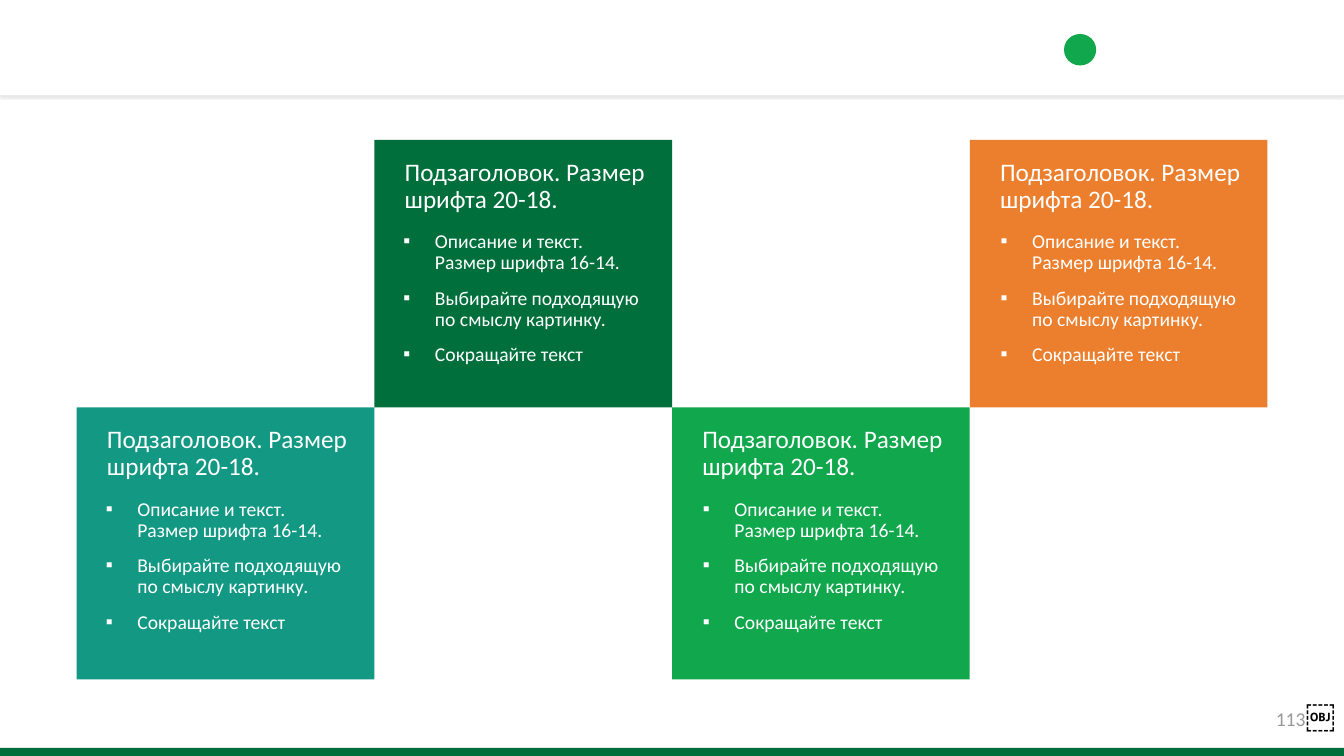
"""Build a slide of four staggered cards with subheadings and bullet lists."""
from dataclasses import dataclass
from typing import Any

from lxml import etree
from pptx import Presentation
from pptx.dml.color import RGBColor
from pptx.enum.shapes import MSO_SHAPE
from pptx.enum.text import MSO_ANCHOR, PP_ALIGN
from pptx.oxml.ns import qn
from pptx.util import Pt

RECTANGLE, OVAL = MSO_SHAPE.RECTANGLE, MSO_SHAPE.OVAL
TOP, MIDDLE = MSO_ANCHOR.TOP, MSO_ANCHOR.MIDDLE
LEFT, CENTER = PP_ALIGN.LEFT, PP_ALIGN.CENTER

COLORS = {
    "forest": "006F3C",
    "teal": "139884",
    "green": "11A74C",
    "orange": "EB7F2E",
    "white": "FFFFFF",
    "gray": "999999",
    "shadow": "8A8A8A",
    "black": "000000",
}
SLIDE_WIDTH, SLIDE_HEIGHT = 960, 540
CARD_LEFT, CARD_WIDTH = 54.8, 212.64
ROW_TOPS = (100, 291)
ROW_HEIGHTS = (191, 194.4)
LIST_DROPS = (62, 62.2)
LIST_WIDTH, LIST_HEIGHT = 184.3, 105
LIST_INDENT = 22.5
SUBHEADING = "Подзаголовок. Размер шрифта 20-18."
POINTS = (
    "Описание и текст. Размер шрифта 16-14.",
    "Выбирайте подходящую по смыслу картинку.",
    "Сокращайте текст",
)


@dataclass(frozen=True)
class Box:
    """Position and size in points."""

    left: float
    top: float
    width: float
    height: float

    def lengths(self) -> tuple[Pt, Pt, Pt, Pt]:
        """Return the box as lengths."""
        return Pt(self.left), Pt(self.top), Pt(self.width), Pt(self.height)


@dataclass(frozen=True)
class Card:
    """A coloured card in the staggered grid."""

    column: int
    row: int
    color: str
    list_inset: float


CARDS = (
    Card(1, 0, "forest", 13.7),
    Card(0, 1, "teal", 13.7),
    Card(3, 0, "orange", 15),
    Card(2, 1, "green", 15),
)


def apply_format(target: Any, values: dict[str, Any]) -> None:
    """Set each named attribute on the target."""
    for name, value in values.items():
        setattr(target, name, value)


def add_panel(slide: Any, box: Box, color: str, outline: MSO_SHAPE = RECTANGLE) -> Any:
    """Add a flat filled shape."""
    panel = slide.shapes.add_shape(outline, *box.lengths())
    panel.shadow.inherit = False
    panel.fill.solid()
    panel.fill.fore_color.rgb = RGBColor.from_string(COLORS[color])
    panel.line.fill.background()
    return panel


def add_text(paragraph: Any, text: str, size: float, color: str, font: str = "Calibri") -> None:
    """Append a formatted run to the paragraph."""
    run = paragraph.add_run()
    run.text = text
    apply_format(run.font, {"name": font, "size": Pt(size)})
    run.font.color.rgb = RGBColor.from_string(COLORS[color])


def add_header(slide: Any) -> None:
    """Add the white header band with its soft lower shadow."""
    header = add_panel(slide, Box(0, 0, SLIDE_WIDTH, 68), "white")
    effects = header._element.spPr.find(qn("a:effectLst"))
    shadow = etree.SubElement(
        effects, qn("a:outerShdw"), blurRad=str(Pt(1)), dist=str(Pt(2)),
        dir="5400000", algn="t", rotWithShape="0",
    )
    tint = etree.SubElement(shadow, qn("a:srgbClr"), val=COLORS["shadow"])
    etree.SubElement(tint, qn("a:alpha"), val="20000")


def add_page_number(slide: Any) -> None:
    """Add the page number in the lower right corner."""
    frame = slide.shapes.add_textbox(*Box(905, 498, 55, 25.2).lengths()).text_frame
    margins = dict.fromkeys(("margin_left", "margin_top", "margin_right", "margin_bottom"), 0)
    apply_format(frame, {"word_wrap": True, "vertical_anchor": MIDDLE, **margins})
    number = frame.paragraphs[0]
    number.alignment = CENTER
    add_text(number, "113", 14, "gray")
    add_text(number, "￼", 21, "black", "Cabin")


def add_points(slide: Any, box: Box) -> None:
    """Add the bulleted description of a card."""
    frame = slide.shapes.add_textbox(*box.lengths()).text_frame
    frame.word_wrap = True
    for index, text in enumerate(POINTS):
        point = frame.add_paragraph() if index else frame.paragraphs[0]
        properties = point._p.get_or_add_pPr()
        properties.set("marL", str(Pt(LIST_INDENT)))
        properties.set("indent", str(Pt(-LIST_INDENT)))
        etree.SubElement(properties, qn("a:buFont"), typeface="Calibri")
        etree.SubElement(properties, qn("a:buChar"), char="▪")
        apply_format(point, {"line_spacing": 0.9, "space_before": Pt(10 if index else 0)})
        add_text(point, text, 14, "white")


def add_card(slide: Any, card: Card) -> None:
    """Add a card with its subheading and points."""
    left = CARD_LEFT + card.column * CARD_WIDTH
    top = ROW_TOPS[card.row]
    panel = add_panel(slide, Box(left, top, CARD_WIDTH, ROW_HEIGHTS[card.row]), card.color)
    frame = panel.text_frame
    apply_format(frame, {
        "word_wrap": True,
        "vertical_anchor": TOP,
        "margin_left": Pt(21.6),
        "margin_top": Pt(14),
        "margin_right": Pt(7.2),
        "margin_bottom": Pt(3.6),
    })
    subheading = frame.paragraphs[0]
    apply_format(subheading, {"alignment": LEFT, "line_spacing": 0.9})
    add_text(subheading, SUBHEADING, 18, "white")
    list_top = top + LIST_DROPS[card.row]
    add_points(slide, Box(left + card.list_inset, list_top, LIST_WIDTH, LIST_HEIGHT))


def main() -> None:
    """Build and save the slide."""
    deck = Presentation()
    apply_format(deck, {"slide_width": Pt(SLIDE_WIDTH), "slide_height": Pt(SLIDE_HEIGHT)})
    slide = deck.slides.add_slide(deck.slide_layouts[6])
    add_panel(slide, Box(0, 534.2, SLIDE_WIDTH, 5.8), "forest")
    add_page_number(slide)
    add_header(slide)
    add_panel(slide, Box(760, 24.3, 23, 22.5), "green", OVAL)
    for card in CARDS:
        add_card(slide, card)
    deck.save("out.pptx")


if __name__ == "__main__":
    main()
